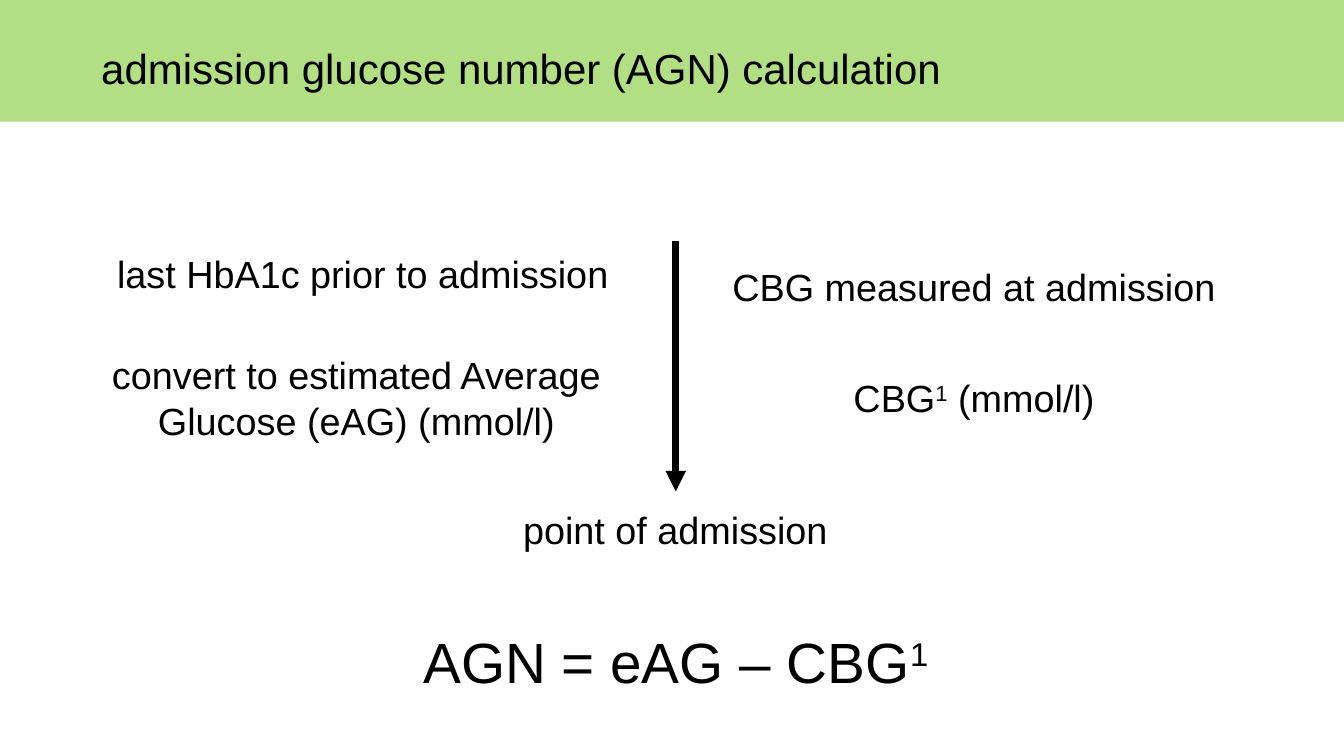
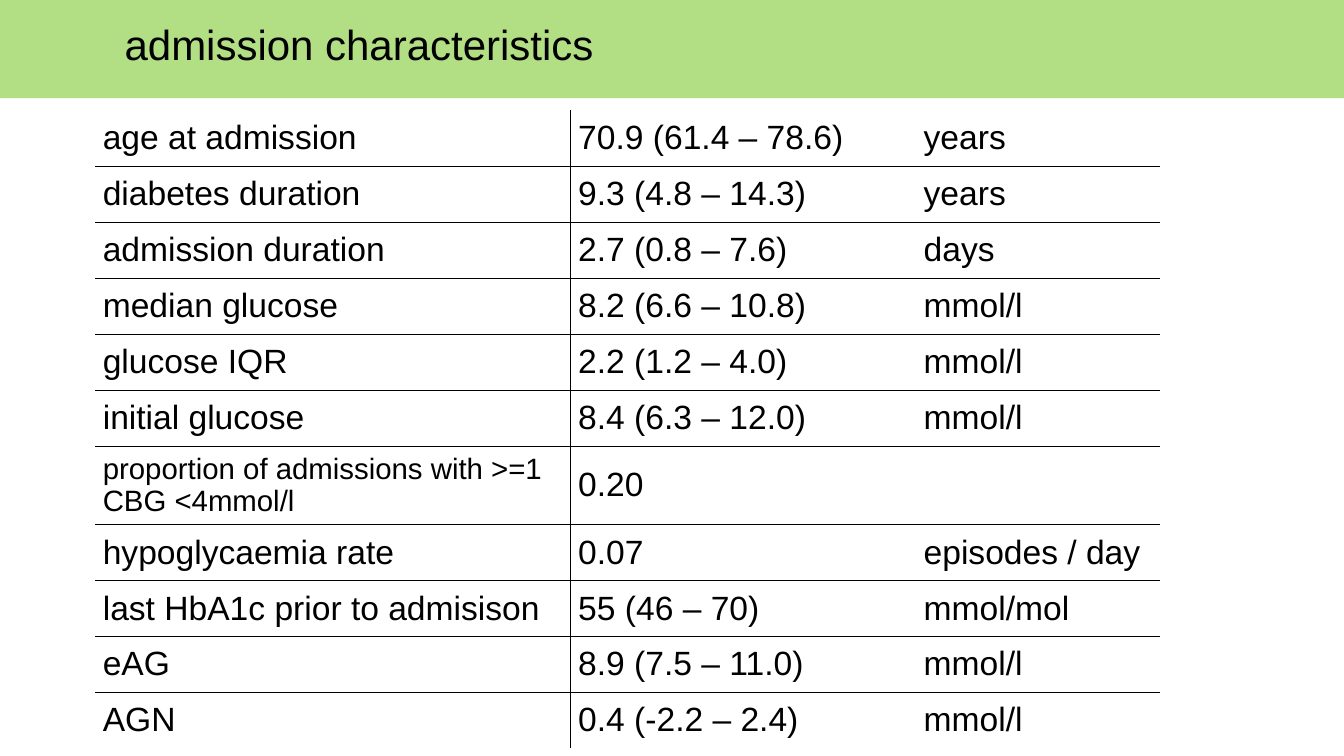
"""Build two slides on the admission glucose number and admission characteristics."""
import pptx
import pptx.dml.color
import pptx.enum.shapes
import pptx.enum.text
import pptx.oxml.ns
import pptx.util
from lxml import etree

Inches = pptx.util.Inches
Pt = pptx.util.Pt
RGBColor = pptx.dml.color.RGBColor
Align = pptx.enum.text.PP_ALIGN
qn = pptx.oxml.ns.qn

BLACK = RGBColor(0x00, 0x00, 0x00)
WHITE = RGBColor(0xFF, 0xFF, 0xFF)
GREEN = RGBColor(0x92, 0xD0, 0x50)
FONT = "Arial"
TITLE_SIZE, BODY_SIZE, FORMULA_SIZE = 40, 36, 54
TABLE_SIZE, LONG_LABEL_SIZE = 32, 28
BORDER_WIDTH = 0.45

COLUMN_WIDTHS = (6.29, 4.57, 3.23)
ROW_HEIGHT, TALL_ROW_HEIGHT = 0.74, 1.04
LONG_LABEL = "proportion of admissions with >=1 CBG <4mmol/l"
CHARACTERISTICS = (
    ("age at admission", "70.9 (61.4 – 78.6)", "years"),
    ("diabetes duration", "9.3 (4.8 – 14.3)", "years"),
    ("admission duration", "2.7 (0.8 – 7.6)", "days"),
    ("median glucose", "8.2 (6.6 – 10.8)", "mmol/l"),
    ("glucose IQR", "2.2 (1.2 – 4.0)", "mmol/l"),
    ("initial glucose", "8.4 (6.3 – 12.0)", "mmol/l"),
    (LONG_LABEL, "0.20", ""),
    ("hypoglycaemia rate", "0.07", "episodes / day"),
    ("last HbA1c prior to admisison", "55 (46 – 70)", "mmol/mol"),
    ("eAG", "8.9 (7.5 – 11.0)", "mmol/l"),
    ("AGN", "0.4 (-2.2 – 2.4)", "mmol/l"),
)


def style_font(font, size):
    """Apply the shared typeface and colour at the given size."""
    font.name = FONT
    font.size = Pt(size)
    font.color.rgb = BLACK


def add_label(slide, text, left, top, width, height, size=BODY_SIZE,
              align=Align.CENTER, wrap=False):
    """Add a text box; text between carets is superscript."""
    frame = slide.shapes.add_textbox(
        Inches(left), Inches(top), Inches(width), Inches(height)).text_frame
    frame.word_wrap = wrap
    frame.auto_size = pptx.enum.text.MSO_AUTO_SIZE.SHAPE_TO_FIT_TEXT
    paragraph = frame.paragraphs[0]
    paragraph.alignment = align
    for index, part in enumerate(text.split("^")):
        if part:
            run = paragraph.add_run()
            run.text = part
            style_font(run.font, size)
            if index % 2:
                run.font._element.set("baseline", "30000")


def add_title_band(slide, title, band_top, title_left, title_width):
    """Add the translucent green band with the slide title on it."""
    band = slide.shapes.add_shape(
        pptx.enum.shapes.MSO_SHAPE.RECTANGLE,
        Inches(0), Inches(band_top), Inches(17.94), Inches(1.73))
    band.shadow.inherit = False
    band.fill.solid()
    band.fill.fore_color.rgb = GREEN
    colour = band.fill._xPr.find(".//" + qn("a:srgbClr"))
    etree.SubElement(colour, qn("a:alpha"), val="70000")
    band.line.fill.background()
    add_label(slide, title, title_left, band_top + 0.63, title_width, 0.77,
              TITLE_SIZE, Align.LEFT, wrap=True)


def add_down_arrow(slide, x, top, bottom):
    """Add a thick vertical connector with an arrowhead at its lower end."""
    arrow = slide.shapes.add_connector(
        pptx.enum.shapes.MSO_CONNECTOR.STRAIGHT,
        Inches(x), Inches(top), Inches(x), Inches(bottom))
    arrow.line.color.rgb = BLACK
    arrow.line.width = Pt(6.5)
    etree.SubElement(arrow.line._get_or_add_ln(), qn("a:tailEnd"), type="triangle")
    etree.SubElement(arrow._element.spPr, qn("a:effectLst"))


def set_borders(cell, visible_sides):
    """Draw thin black borders on the given sides (L, R, T, B) and none elsewhere."""
    properties = cell._tc.get_or_add_tcPr()
    for side in "LRTB":
        line = etree.SubElement(properties, qn("a:ln" + side), w=str(Pt(BORDER_WIDTH)))
        if side in visible_sides:
            fill = etree.SubElement(line, qn("a:solidFill"))
            etree.SubElement(fill, qn("a:srgbClr"), val=str(BLACK))
        else:
            etree.SubElement(line, qn("a:noFill"))


def fill_cell(cell, text, visible_sides):
    """Write one table cell with its borders and white fill."""
    set_borders(cell, visible_sides)
    cell.fill.solid()
    cell.fill.fore_color.rgb = WHITE
    cell.vertical_anchor = pptx.enum.text.MSO_ANCHOR.MIDDLE
    cell.text_frame.text = text
    size = LONG_LABEL_SIZE if text == LONG_LABEL else TABLE_SIZE
    style_font(cell.text_frame.paragraphs[0].font, size)
    for run in cell.text_frame.paragraphs[0].runs:
        style_font(run.font, size)


def add_characteristics_table(slide, left, top):
    """Add the table with rules between rows and after the first column."""
    heights = [TALL_ROW_HEIGHT if row[0] == LONG_LABEL else ROW_HEIGHT
               for row in CHARACTERISTICS]
    table = slide.shapes.add_table(
        len(heights), len(COLUMN_WIDTHS), Inches(left), Inches(top),
        Inches(sum(COLUMN_WIDTHS)), Inches(sum(heights))).table
    table.first_row = False
    table.horz_banding = False
    for column, width in zip(table.columns, COLUMN_WIDTHS):
        column.width = Inches(width)
    for r, (values, height) in enumerate(zip(CHARACTERISTICS, heights)):
        table.rows[r].height = Inches(height)
        row_rules = ("T" if r > 0 else "") + ("B" if r < len(heights) - 1 else "")
        for c, (text, column_rule) in enumerate(zip(values, ("R", "L", ""))):
            fill_cell(table.cell(r, c), text, row_rules + column_rule)


def build_calculation_slide(slide):
    """Show how the admission glucose number is calculated."""
    add_down_arrow(slide, 8.94, 3.19, 6.5)
    add_label(slide, "point of admission", 6.82, 6.66, 4.23, 0.7)
    add_label(slide, "last HbA1c prior to admission", 1.45, 3.27, 6.7, 0.7)
    add_label(slide, "convert to estimated Average Glucose (eAG) (mmol/l)",
              1.25, 4.61, 6.93, 1.3, wrap=True)
    add_label(slide, "CBG^1^ (mmol/l)", 11.19, 4.91, 3.39, 0.7)
    add_label(slide, "CBG measured at admission", 9.59, 3.44, 6.59, 0.7)
    add_label(slide, "AGN = eAG – CBG^1^", 5.5, 8.24, 6.88, 1, FORMULA_SIZE)
    add_title_band(slide, "admission glucose number (AGN) calculation",
                   -0.12, 1.24, 11.5)


def build_characteristics_slide(slide):
    """Tabulate the admission characteristics."""
    add_characteristics_table(slide, 1.26, 1.46)
    add_title_band(slide, "admission characteristics", -0.43, 1.55, 6.5)


def main():
    """Build and save the presentation."""
    presentation = pptx.Presentation()
    presentation.slide_width = Inches(17.78)
    presentation.slide_height = Inches(10)
    blank = presentation.slide_layouts[6]
    for build in (build_calculation_slide, build_characteristics_slide):
        build(presentation.slides.add_slide(blank))
    presentation.save("out.pptx")


if __name__ == "__main__":
    main()
